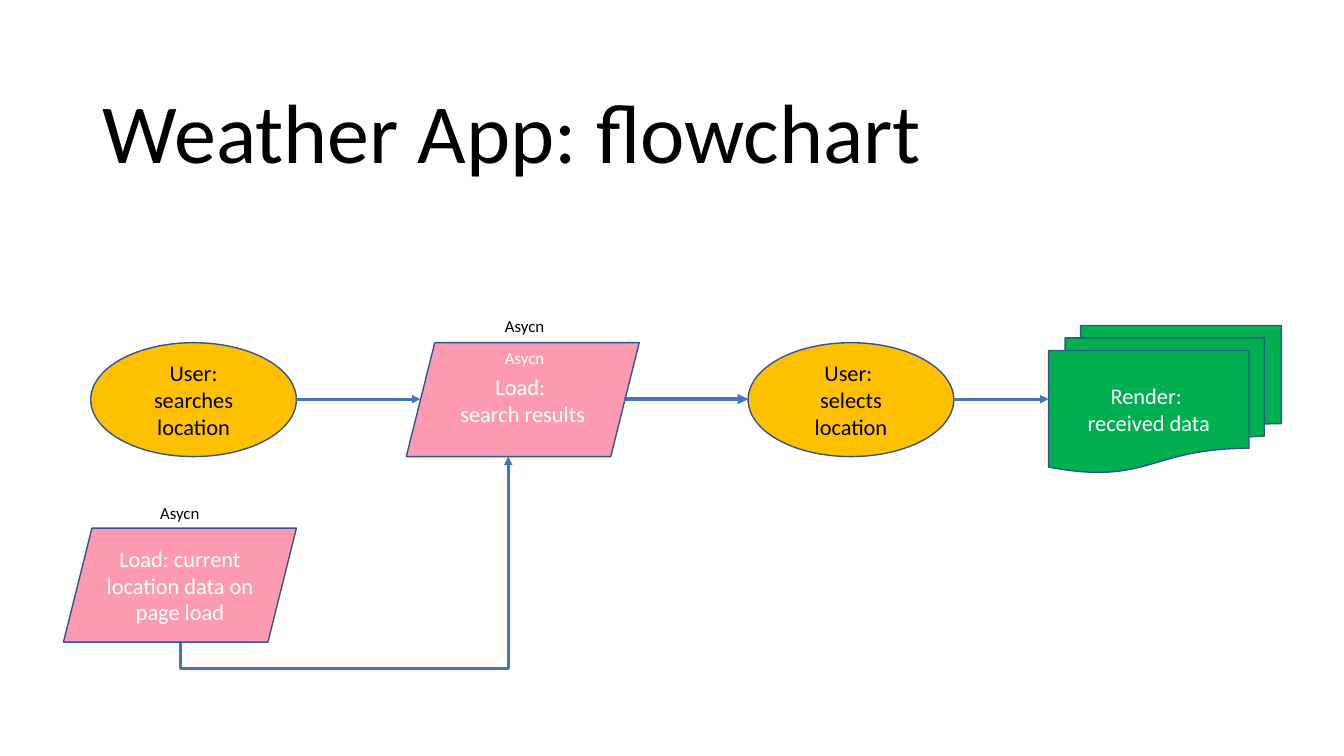
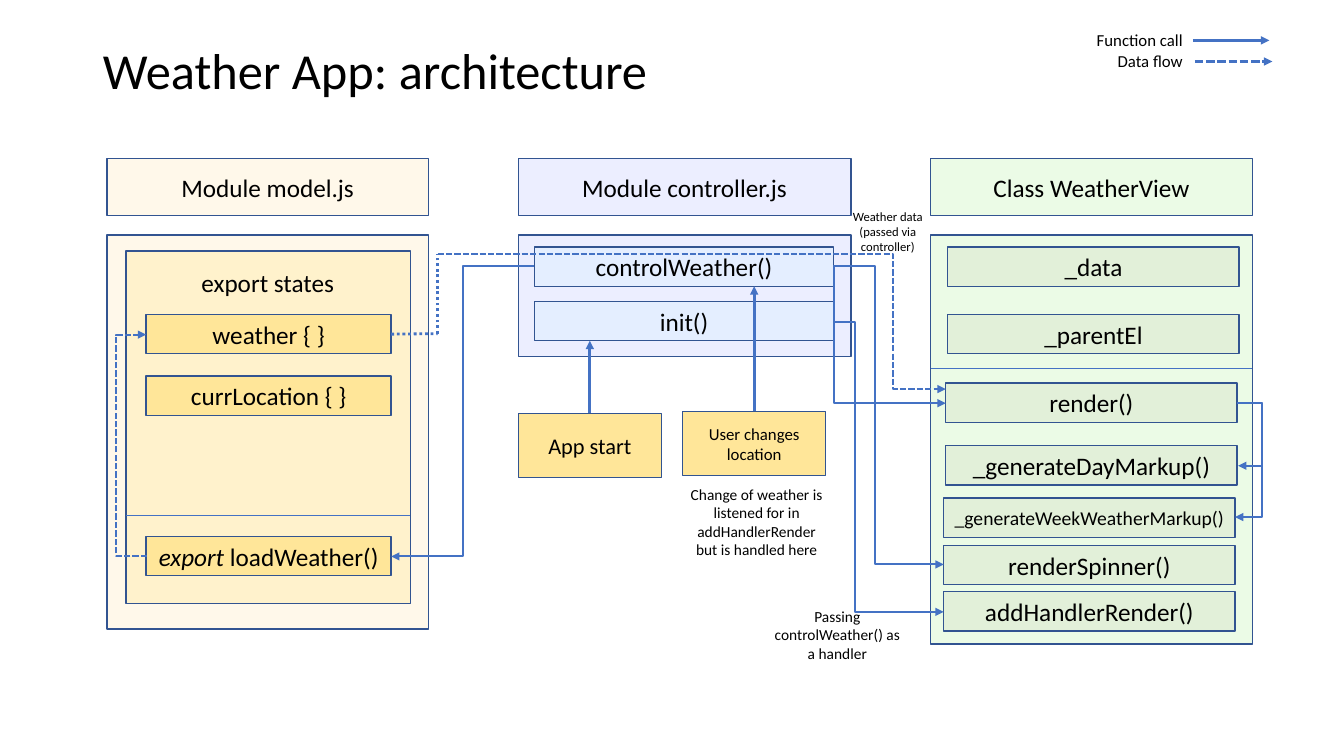
"""Build two slides on a weather app: its flowchart and its architecture."""
import lxml.etree
import pptx
import pptx.dml.color
import pptx.enum.dml
import pptx.enum.shapes
import pptx.enum.text
import pptx.oxml.ns
import pptx.util

PX = 9144
FONT = "Calibri"
BLACK, WHITE, OUTLINE, ARROW = "000000", "FFFFFF", "325491", "4472C4"
AMBER, PINK, GREEN = "FFC000", "FF9BB0", "00B050"
CREAM, LAVENDER, MINT = "FFF8EA", "ECEEFF", "EBFBE6"
SAND, YELLOW, SKY, SAGE = "FFF2CC", "FFE699", "E4EEFF", "E2F0D9"

SHAPE = pptx.enum.shapes.MSO_SHAPE
CONNECTOR = pptx.enum.shapes.MSO_CONNECTOR
ALIGN = pptx.enum.text.PP_ALIGN
ANCHOR = pptx.enum.text.MSO_ANCHOR
DASH = pptx.enum.dml.MSO_LINE.SQUARE_DOT
DOT = pptx.enum.dml.MSO_LINE.ROUND_DOT
SOLID = None
qn = pptx.oxml.ns.qn


def color(code):
    return pptx.dml.color.RGBColor.from_string(code)


def write(shape, text, size=18, ink=BLACK, align=ALIGN.CENTER,
          anchor=ANCHOR.MIDDLE, wrap=True, spacing=None, italic=""):
    frame = shape.text_frame
    frame.word_wrap = wrap
    frame.auto_size = pptx.enum.text.MSO_AUTO_SIZE.NONE
    frame.vertical_anchor = anchor
    for number, words in enumerate(text.split("\n")):
        para = frame.add_paragraph() if number else frame.paragraphs[0]
        para.alignment = align
        para.line_spacing = spacing
        for part, slanted in ((italic, True), (words, False)):
            if part:
                span = para.add_run()
                span.text = part
                span.font.name = FONT
                span.font.size = pptx.util.Pt(size)
                span.font.italic = slanted
                span.font.color.rgb = color(ink)


flow_boxes = [
    (SHAPE.OVAL, 90, 340, 204, 113, AMBER, "User: searches location", {"size": 16}),
    (SHAPE.PARALLELOGRAM, 63, 524, 231, 113, PINK,
     "Load: current location data on page load", {"size": 16, "ink": WHITE}),
    (SHAPE.FLOWCHART_MULTIDOCUMENT, 1040, 323, 231, 146, GREEN,
     "Render: \nreceived data", {"size": 16, "ink": WHITE}),
    (SHAPE.PARALLELOGRAM, 403, 340, 231, 113, PINK,
     "Load: \nsearch results", {"size": 16, "ink": WHITE}),
    (SHAPE.OVAL, 742, 340, 204, 113, AMBER, "User: \nselects location", {"size": 16}),
]
flow_lines = [
    ((294, 396), (417, 396), 2, SOLID, True, None),
    ((619, 396), (742, 396), 2.5, SOLID, True, None),
    ((946, 396), (1040, 396), 2, SOLID, True, None),
]
flow_elbows = [((179, 638), (504, 453), 663, 2, SOLID, "down")]
flow_notes = [
    (left, top, 60, 30, "Asycn",
     {"size": 12, "ink": ink, "align": ALIGN.LEFT, "wrap": False})
    for left, top, ink in ((491, 340, WHITE), (149, 494, BLACK), (491, 308, BLACK))
]

parts_boxes = []
for left, width, height, fill, heading in (
        (106, 319, 391, CREAM, "Module model.js"),
        (514, 330, 121, LAVENDER, "Module controller.js"),
        (923, 319, 406, MINT, "Class WeatherView")):
    parts_boxes += [
        (SHAPE.RECTANGLE, left, 233, width, height, fill, "", {}),
        (SHAPE.RECTANGLE, left, 157, width, 57, fill, heading, {}),
    ]
parts_boxes.append((SHAPE.RECTANGLE, 125, 249, 282, 350, SAND, "", {}))
for left, width, fill, members in (
        (145, 243, YELLOW, ((312, "weather { }", {}),
                            (373, "currLocation { }", {}),
                            (532, "loadWeather()", {"italic": "export "}))),
        (530, 297, SKY, ((245, "controlWeather()", {}), (299, "init()", {}))),
        (940, 289, SAGE, ((245, "_data", {}), (312, "_parentEl", {}))),
        (938, 289, SAGE, ((380, "render()", {}), (442, "_generateDayMarkup()", {}))),
        (936, 289, SAGE, ((494, "_generateWeekWeatherMarkup()", {"size": 14}),
                          (541, "renderSpinner()", {}),
                          (587, "addHandlerRender()", {})))):
    for top, name, style in members:
        parts_boxes.append((SHAPE.RECTANGLE, left, top, width, 39, fill, name, style))
parts_boxes += [
    (SHAPE.RECTANGLE, 514, 410, 142, 64, YELLOW, "App start", {"size": 16}),
    (SHAPE.RECTANGLE, 677, 408, 142, 64, YELLOW, "User changes location", {"size": 12}),
]
parts_lines = [
    ((125, 511), (407, 511), 0.5, SOLID, False, None),
    ((923, 365), (1242, 365), 0.5, SOLID, False, None),
    ((585, 410), (585, 338), 2, SOLID, True, ("App start", 0)),
    ((748, 408), (748, 284), 2, SOLID, True, ("User changes location", 0)),
    ((388, 332), (434, 331), 2, DOT, False, ("weather { }", 3)),
    ((434, 331), (434, 252), 2, DOT, False, None),
    ((1183, 40), (1259, 40), 2, SOLID, True, None),
    ((1185, 61), (1262, 61), 2, DASH, True, None),
]
parts_elbows = [
    ((1227, 400), (1228, 462), 1252, 1.5, SOLID, "across"),
    ((828, 319), (936, 607), 848, 1.5, SOLID, "across"),
    ((828, 264), (936, 560), 868, 1.5, SOLID, "across"),
    ((827, 263), (938, 400), 827, 1.5, SOLID, "across"),
    ((1227, 400), (1225, 513), 1252, 1.5, SOLID, "across"),
    ((530, 264), (388, 552), 459, 1.5, SOLID, "across"),
    ((146, 552), (145, 332), 115, 1.5, DASH, "across"),
    ((434, 252), (938, 386), 886, 1.5, DASH, "across"),
]
parts_notes = [
    (190, 260, 153, 40, "export states", {"align": ALIGN.LEFT, "wrap": False}),
    (675, 476, 151, 84,
     "Change of weather is listened for in addHandlerRender but is handled here",
     {"size": 11}),
    (755, 597, 151, 66, "Passing controlWeather() as a handler", {"size": 11}),
    (828, 202, 105, 56, "Weather data (passed via controller)", {"size": 9}),
    (1077, 25, 106, 50, "Function call\nData flow",
     {"size": 12, "align": ALIGN.RIGHT, "wrap": False}),
]

deck = pptx.Presentation()
deck.slide_width, deck.slide_height = 1333 * PX, 750 * PX

for heading, height, size, spacing, boxes, lines, elbows, notes in (
        ("Weather App: flowchart", 145, 60, 0.9,
         flow_boxes, flow_lines, flow_elbows, flow_notes),
        ("Weather App: architecture", 63, 36, 0.8,
         parts_boxes, parts_lines, parts_elbows, parts_notes)):
    page = deck.slides.add_slide(deck.slide_layouts[5])
    title = page.shapes.title
    title.left, title.top = 92 * PX, 40 * PX
    title.width, title.height = 1150 * PX, height * PX
    write(title, heading, size=size, spacing=spacing, align=ALIGN.LEFT,
          anchor=ANCHOR.BOTTOM)

    named = {}
    for kind, left, top, width, height, fill, text, style in boxes:
        box = page.shapes.add_shape(kind, left * PX, top * PX, width * PX, height * PX)
        box.shadow.inherit = False
        box.fill.solid()
        box.fill.fore_color.rgb = color(fill)
        box.line.color.rgb = color(OUTLINE)
        box.line.width = pptx.util.Pt(1)
        if text:
            write(box, text, **style)
            named[text] = box

    drawn = []
    for begin, end, weight, dash, arrow, join in lines:
        link = page.shapes.add_connector(
            CONNECTOR.STRAIGHT, *(value * PX for value in begin + end))
        if join:
            name, side = join
            link.begin_connect(named[name], side)
        drawn.append((link, weight, dash, arrow))

    for (x1, y1), (x2, y2), bend, weight, dash, heading_to in elbows:
        if heading_to == "down":
            ratio = (bend - y1) / (y2 - y1)
            middle_x, middle_y = (x1 + x2) / 2, (y1 + y2) / 2
            x1, y1, x2, y2 = (middle_x + y1 - middle_y, middle_y - x1 + middle_x,
                              middle_x + y2 - middle_y, middle_y - x2 + middle_x)
        else:
            ratio = (bend - x1) / (x2 - x1)
        link = page.shapes.add_connector(
            CONNECTOR.ELBOW, *(int(value * PX) for value in (x1, y1, x2, y2)))
        if heading_to == "down":
            link.element.find(".//" + qn("a:xfrm")).set("rot", "5400000")
        lxml.etree.SubElement(link.element.find(".//" + qn("a:avLst")), qn("a:gd"),
                              name="adj1", fmla=f"val {round(ratio * 100000)}")
        drawn.append((link, weight, dash, True))

    for link, weight, dash, arrow in drawn:
        link.line.color.rgb = color(ARROW)
        link.line.width = pptx.util.Pt(weight)
        if dash:
            link.line.dash_style = dash
        if arrow:
            lxml.etree.SubElement(link.element.find(".//" + qn("a:ln")),
                                  qn("a:tailEnd"), type="triangle")
        lxml.etree.SubElement(link.element.spPr, qn("a:effectLst"))

    for left, top, width, height, text, style in notes:
        note = page.shapes.add_textbox(left * PX, top * PX, width * PX, height * PX)
        write(note, text, anchor=ANCHOR.TOP, **style)

deck.save("out.pptx")
